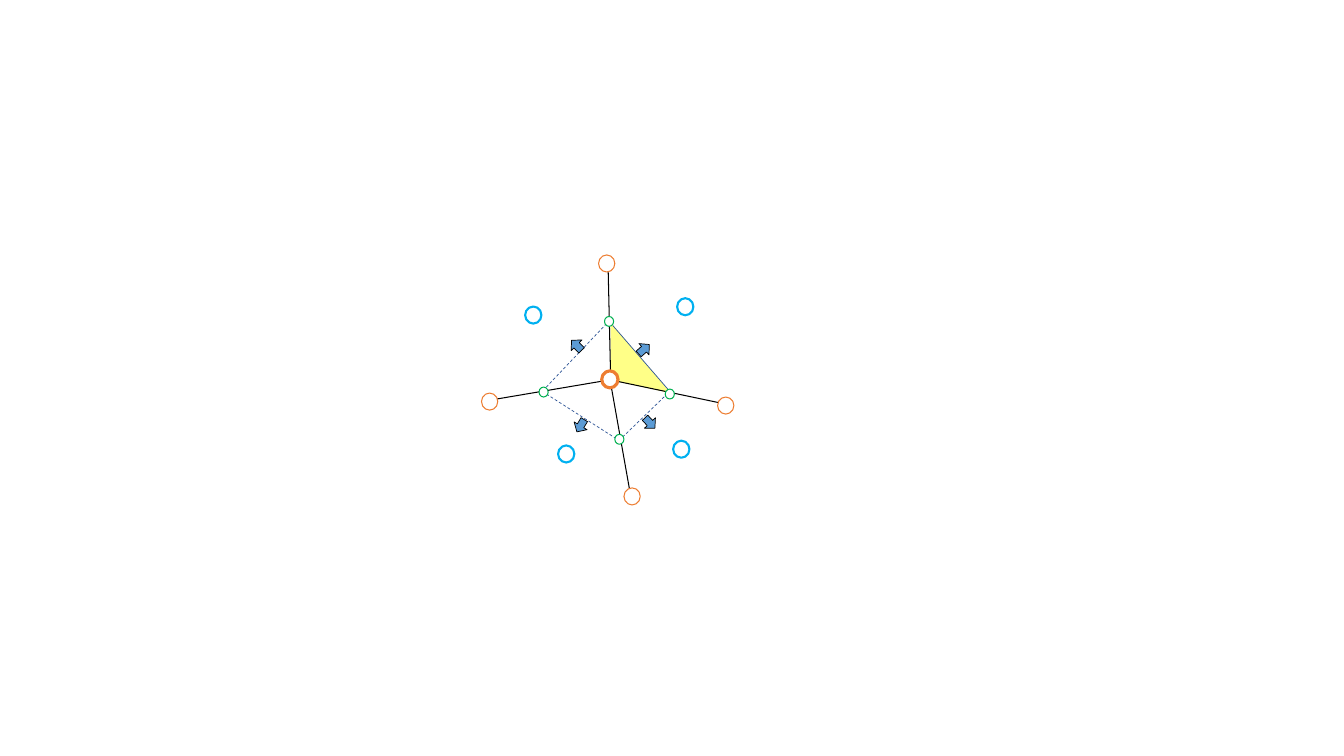
from lxml import etree
from pptx import Presentation
from pptx import util as u
from pptx.dml.color import RGBColor
from pptx.enum import dml, shapes
from pptx.oxml.ns import qn

WHITE = RGBColor(0xFF, 0xFF, 0xFF)
BLACK = RGBColor(0, 0, 0)
YELLOW = RGBColor(0xFF, 0xFF, 0)
ORANGE = RGBColor(0xED, 0x7D, 0x31)
CYAN = RGBColor(0, 0xB0, 0xF0)
GREEN = RGBColor(0, 0xB0, 0x50)
BLUE = RGBColor(0x5B, 0x9B, 0xD5)
NAVY = RGBColor(0x2F, 0x55, 0x97)

NODE = (0.41, 0.43)
MIDPOINT = (0.23, 0.25)
ARROW = (0.36, 0.38)

SPOKES = [(15.42, 9.58, 18.42, 10.21), (15.39, 9.58, 15.32, 6.53),
          (15.32, 9.58, 12.19, 10.11), (15.37, 9.55, 15.93, 12.7)]
DASHED_EDGES = [(13.77, 9.93, 15.65, 11.13), (15.6, 11.1, 16.81, 9.93),
                (15.29, 8.15, 13.77, 9.75)]
NEIGHBOURS = [(18.29, 10.22), (15.29, 6.64), (12.34, 10.12), (15.93, 12.51)]
CELLS = [(17.27, 7.73), (17.17, 11.32), (13.44, 7.94), (14.27, 11.44)]
MIDPOINTS = [(16.88, 9.93), (15.61, 11.07), (15.35, 8.1), (13.7, 9.88)]
NORMALS = [(16.23, 8.8, 318.5), (16.38, 10.66, 46.6),
           (14.53, 8.7, 225.5), (14.63, 10.73, 121.2)]


class Diagram:
    def __init__(self, slide):
        self.shapes = slide.shapes.add_group_shape().shapes

    def line(self, x1, y1, x2, y2, color, width, dash=None):
        c = self.shapes.add_connector(
            shapes.MSO_CONNECTOR.STRAIGHT,
            u.Cm(x1), u.Cm(y1), u.Cm(x2), u.Cm(y2))
        c.line.color.rgb = color
        c.line.width = u.Pt(width)
        if dash:
            c.line.dash_style = dash
        etree.SubElement(c._element.spPr, qn("a:effectLst"))

    def shape(self, kind, x, y, size, fill, color, width, rotation=0):
        w, h = size
        sp = self.shapes.add_shape(
            kind, u.Cm(x - w / 2), u.Cm(y - h / 2), u.Cm(w), u.Cm(h))
        sp.shadow.inherit = False
        sp.rotation = rotation
        sp.fill.solid()
        sp.fill.fore_color.rgb = fill
        sp.line.color.rgb = color
        sp.line.width = u.Pt(width)

    def circle(self, x, y, size, color, width):
        self.shape(shapes.MSO_SHAPE.OVAL, x, y, size, WHITE, color, width)

    def area(self, points, color, opacity):
        start, *rest = [(u.Cm(x), u.Cm(y)) for x, y in points]
        builder = self.shapes.build_freeform(*start)
        builder.add_line_segments(rest)
        sp = builder.convert_to_shape()
        sp.shadow.inherit = False
        sp.fill.solid()
        sp.fill.fore_color.rgb = color
        sp.line.fill.background()
        clr = sp._element.spPr.find(qn("a:solidFill"))[0]
        etree.SubElement(clr, qn("a:alpha"), val=str(opacity * 1000))


def main():
    prs = Presentation()
    prs.slide_width, prs.slide_height = u.Cm(33.87), u.Cm(19.05)
    d = Diagram(prs.slides.add_slide(prs.slide_layouts[6]))

    d.area([(15.39, 9.58), (15.39, 8.13), (16.92, 9.91)], YELLOW, 47)
    for spoke in SPOKES:
        d.line(*spoke, BLACK, 0.75)
    d.line(16.92, 9.91, 15.44, 8.2, NAVY, 0.5)
    for x, y in NEIGHBOURS:
        d.circle(x, y, NODE, ORANGE, 0.75)
    d.circle(15.37, 9.56, NODE, ORANGE, 2.25)
    for edge in DASHED_EDGES:
        d.line(*edge, NAVY, 0.5, dml.MSO_LINE.DASH)
    for x, y in CELLS:
        d.circle(x, y, NODE, CYAN, 1.5)
    for x, y, angle in NORMALS:
        d.shape(shapes.MSO_SHAPE.RIGHT_ARROW, x, y, ARROW,
                BLUE, BLACK, 0.5, angle)
    for x, y in MIDPOINTS:
        d.circle(x, y, MIDPOINT, GREEN, 0.75)

    prs.save("out.pptx")


if __name__ == "__main__":
    main()
